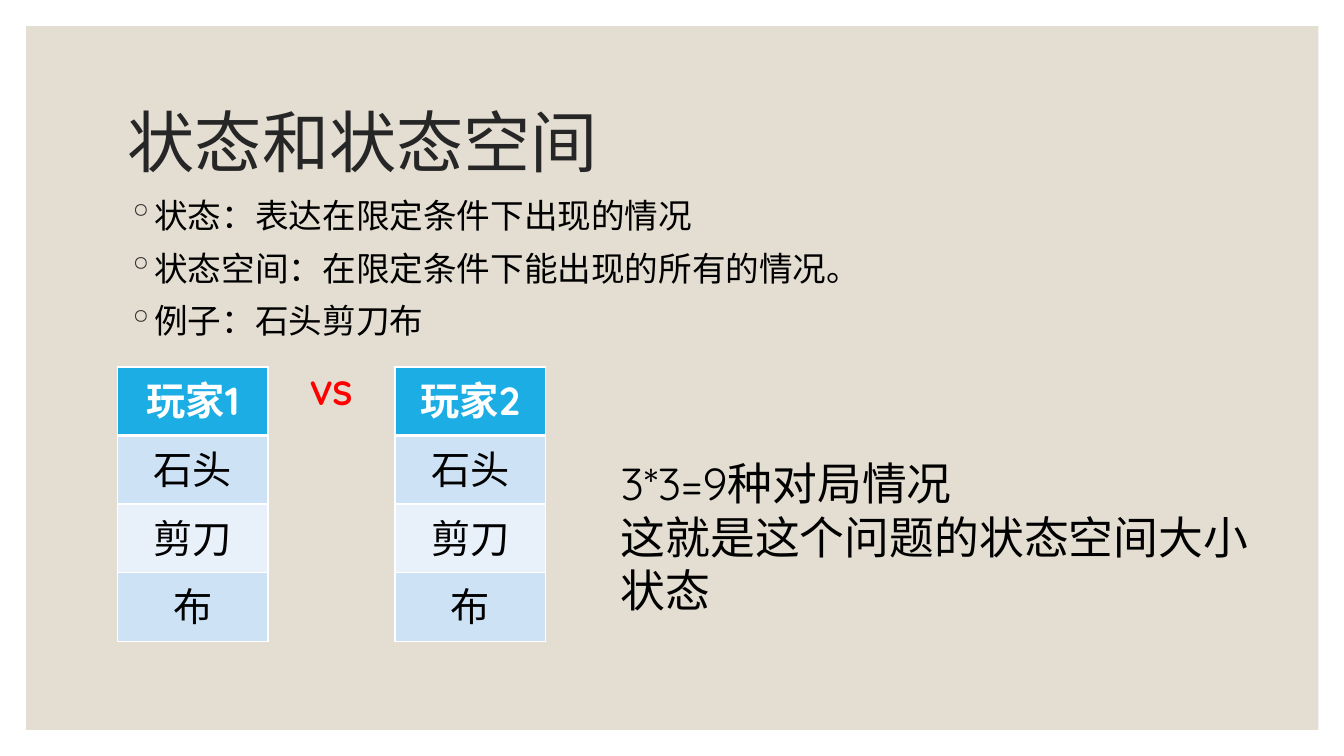
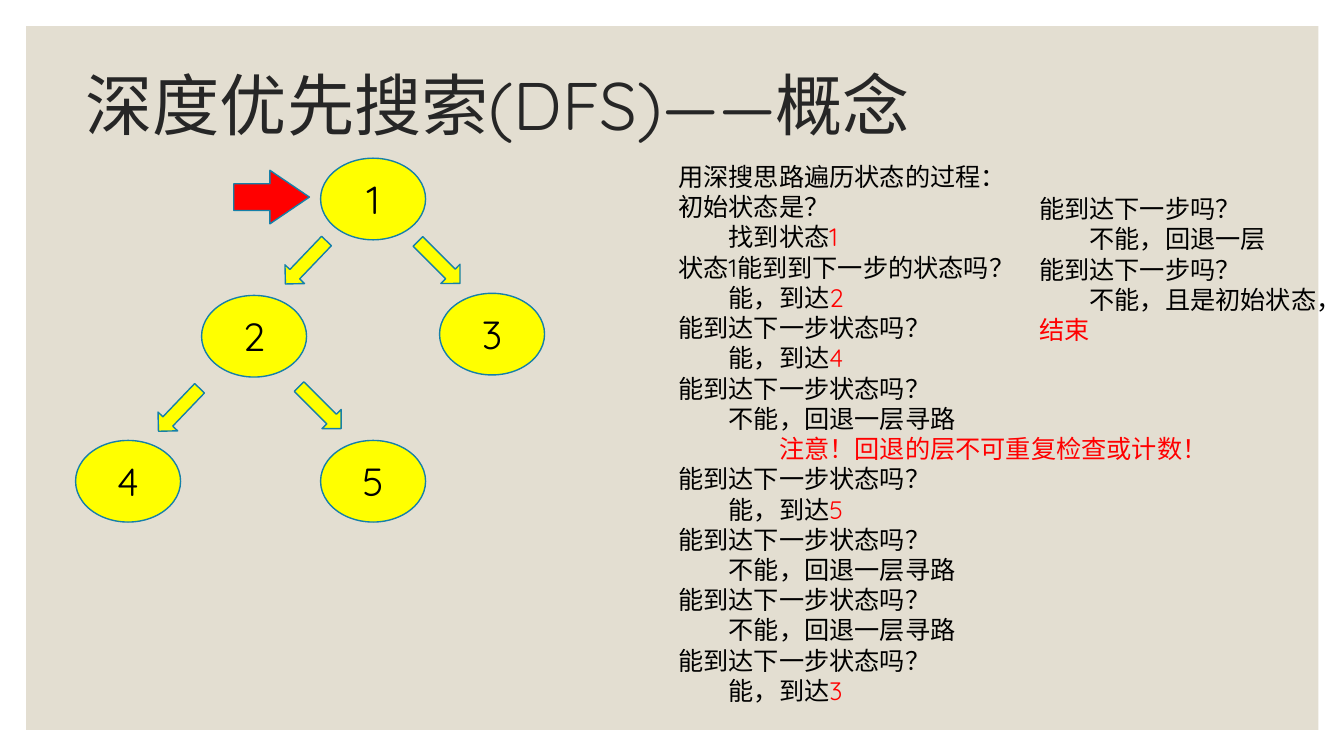
from dataclasses import dataclass

from lxml.etree import SubElement
from pptx import Presentation
from pptx.dml.color import RGBColor
from pptx.enum.shapes import MSO_SHAPE as SHAPE
from pptx.enum.text import MSO_ANCHOR as ANCHOR, PP_ALIGN as ALIGN
from pptx.oxml.ns import qn
from pptx.util import Pt


@dataclass(frozen=True)
class Theme:
    font: str = "Quicksand"
    panel: str = "E3DED1"
    title: str = "262626"
    text: str = "000000"
    white: str = "FFFFFF"
    red: str = "FF0000"
    yellow: str = "FFFF00"
    outline: str = "1580A9"
    header: str = "1CADE4"
    bands: tuple = ("CDE3F5", "E8F1FA")
    title_size: int = 48
    lead_size: int = 32
    label_size: int = 28
    body_size: int = 24
    step_size: int = 18
    indent: int = 36


T = Theme()

CHOICES = ["石头", "剪刀", "布"]

DEFINITIONS = [
    "状态：表达在限定条件下出现的情况",
    "状态空间：在限定条件下能出现的所有的情况。",
    "例子：石头剪刀布",
]

CONCLUSION = ["3*3=9种对局情况", "这就是这个问题的状态空间大小", "状态"]

ASK = (0, "能到达下一步状态吗？", "")
BACK = (1, "不能，回退一层寻路", "")

# Each step: indent level, black text, red text
STEPS = [
    (0, "用深搜思路遍历状态的过程：", ""),
    (0, "初始状态是？", ""),
    (1, "找到状态", "1"),
    (0, "状态1能到到下一步的状态吗？", ""),
    (1, "能，到达", "2"),
    ASK, (1, "能，到达", "4"),
    ASK, BACK,
    (2, "", "注意！回退的层不可重复检查或计数！"),
    ASK, (1, "能，到达", "5"),
    ASK, BACK,
    ASK, BACK,
    ASK, (1, "能，到达", "3"),
]

LAST_STEPS = [
    (0, "能到达下一步吗？", ""),
    (1, "不能，回退一层", ""),
    (0, "能到达下一步吗？", ""),
    (1, "不能，且是初始状态，", "结束"),
]

# Offsets inside the tree's box
NODES = {"1": (175, 0), "3": (260, 96.5), "2": (90, 98), "4": (0, 201.6), "5": (175, 201.6)}
BRANCHES = [(143.3, 64.8, 133.7), (52.6, 170, 133.7), (238.3, 64.8, 44.9), (153.4, 168.5, 44.9)]


def rgb(value):
    return RGBColor.from_string(value)


def add_text(p, text, size=T.body_size, color=T.text, bold=False):
    r = p.add_run()
    r.text = text
    r.font.size, r.font.bold, r.font.name = Pt(size), bold, T.font
    r.font.color.rgb = rgb(color)
    rPr = r._r.get_or_add_rPr()
    rPr.set("lang", "zh-CN")
    SubElement(rPr, qn("a:ea")).set("typeface", T.font)


def add_paragraphs(tf, count):
    """Yield count paragraphs, the first being the frame's own."""
    for i in range(count):
        yield tf.add_paragraph() if i else tf.paragraphs[0]


def add_box(slide, box, anchor=ANCHOR.TOP):
    tf = slide.shapes.add_textbox(*map(Pt, box)).text_frame
    tf.word_wrap = True
    tf.vertical_anchor = anchor
    return tf


def add_lines(slide, box, lines, align=ALIGN.LEFT, **fmt):
    tf = add_box(slide, box)
    for p, line in zip(add_paragraphs(tf, len(lines)), lines):
        p.alignment = align
        add_text(p, line, **fmt)
    return tf


def add_preset(slide, kind, box, fill, line=None, rotation=0):
    s = slide.shapes.add_shape(kind, *map(Pt, box))
    s.shadow.inherit = False
    s.rotation = rotation
    s.fill.solid()
    s.fill.fore_color.rgb = rgb(fill)
    if line:
        s.line.color.rgb = rgb(line)
        s.line.width = Pt(1)
    else:
        s.line.fill.background()
    return s


def add_base(prs, title, box):
    """Add a slide with the shared panel and title."""
    slide = prs.slides.add_slide(prs.slide_layouts[6])
    add_preset(slide, SHAPE.RECTANGLE, (18.7, 18.7, 923, 502.6), T.panel)
    p = add_box(slide, box, ANCHOR.MIDDLE).paragraphs[0]
    p.line_spacing = 0.9
    add_text(p, title, T.title_size, T.title)
    return slide


def add_bullets(slide, box, lines):
    tf = add_lines(slide, box, lines)
    for p in tf.paragraphs:
        p.space_before = Pt(9)
        pPr = p._p.get_or_add_pPr()
        pPr.set("marL", str(Pt(14.4)))
        pPr.set("indent", str(-Pt(14.4)))
        color = SubElement(pPr, qn("a:buClr"))
        SubElement(color, qn("a:srgbClr")).set("val", T.title)
        SubElement(pPr, qn("a:buChar")).set("char", "◦")


def set_borders(cell, **widths):
    tcPr = cell._tc.get_or_add_tcPr()
    for i, side in enumerate("LRTB"):
        ln = tcPr.makeelement(qn(f"a:ln{side}"), {"w": str(Pt(widths.get(side, 1)))})
        fill = SubElement(ln, qn("a:solidFill"))
        SubElement(fill, qn("a:srgbClr")).set("val", T.white)
        tcPr.insert(i, ln)


def add_player(slide, box, name):
    rows = [name, *CHOICES]
    table = slide.shapes.add_table(len(rows), 1, *map(Pt, box)).table
    for i, text in enumerate(rows):
        head = i == 0
        cell = table.cell(i, 0)
        cell.fill.solid()
        cell.fill.fore_color.rgb = rgb(T.header if head else T.bands[(i - 1) % 2])
        cell.vertical_anchor = ANCHOR.MIDDLE
        set_borders(cell, B=3 if head else 1, T=3 if i == 1 else 1)
        p = cell.text_frame.paragraphs[0]
        p.alignment = ALIGN.CENTER
        add_text(p, text, T.label_size, T.white if head else T.text, bold=head)


def add_match(slide, left, top):
    """Place both players' tables with VS between them."""
    for i in range(2):
        add_player(slide, (left + i * 198, top, 107.3, 196), f"玩家{i + 1}")
    add_lines(slide, (left + 118.1, top, 68.4, 36), ["VS"], ALIGN.CENTER,
              color=T.red, bold=True)


def add_tree(slide, left, top):
    for label, (x, y) in NODES.items():
        s = add_preset(slide, SHAPE.OVAL, (left + x, top + y, 75, 58.3), T.yellow, T.outline)
        tf = s.text_frame
        tf.vertical_anchor = ANCHOR.MIDDLE
        tf.paragraphs[0].alignment = ALIGN.CENTER
        add_text(tf.paragraphs[0], label, T.label_size)
    for x, y, angle in BRANCHES:
        add_preset(slide, SHAPE.RIGHT_ARROW, (left + x, top + y, 42.5, 19.4),
                   T.yellow, T.outline, angle)
    start = add_preset(slide, SHAPE.RIGHT_ARROW, (left + 113, top + 8.7, 54, 38.2),
                       T.red, T.outline)
    start.adjustments[1] = 0.737


def add_steps(slide, box, steps):
    tf = add_box(slide, box)
    for p, (level, text, red) in zip(add_paragraphs(tf, len(steps)), steps):
        pPr = p._p.get_or_add_pPr()
        pPr.set("marL", "0")
        pPr.set("indent", str(Pt(level * T.indent)))
        for part, color in ((text, T.text), (red, T.red)):
            if part:
                add_text(p, part, T.step_size, color)


def build_state_slide(prs):
    slide = add_base(prs, "状态和状态空间", (84.2, 50.4, 792, 108))
    add_bullets(slide, (84.2, 135.4, 792, 309.6), DEFINITIONS)
    add_match(slide, 84.2, 262.1)
    add_lines(slide, (436.3, 321.8, 473, 123.8), CONCLUSION, size=T.lead_size)


def build_dfs_slide(prs):
    slide = add_base(prs, "深度优先搜索(DFS)——概念", (54, 23.8, 677.5, 108))
    add_tree(slide, 54, 113)
    add_steps(slide, (477.4, 111.6, 410.4, 421.9), STEPS)
    add_steps(slide, (735.1, 134.6, 213.8, 116.6), LAST_STEPS)


def main():
    prs = Presentation()
    prs.slide_width, prs.slide_height = Pt(960), Pt(540)
    build_state_slide(prs)
    build_dfs_slide(prs)
    prs.save("out.pptx")


if __name__ == "__main__":
    main()
